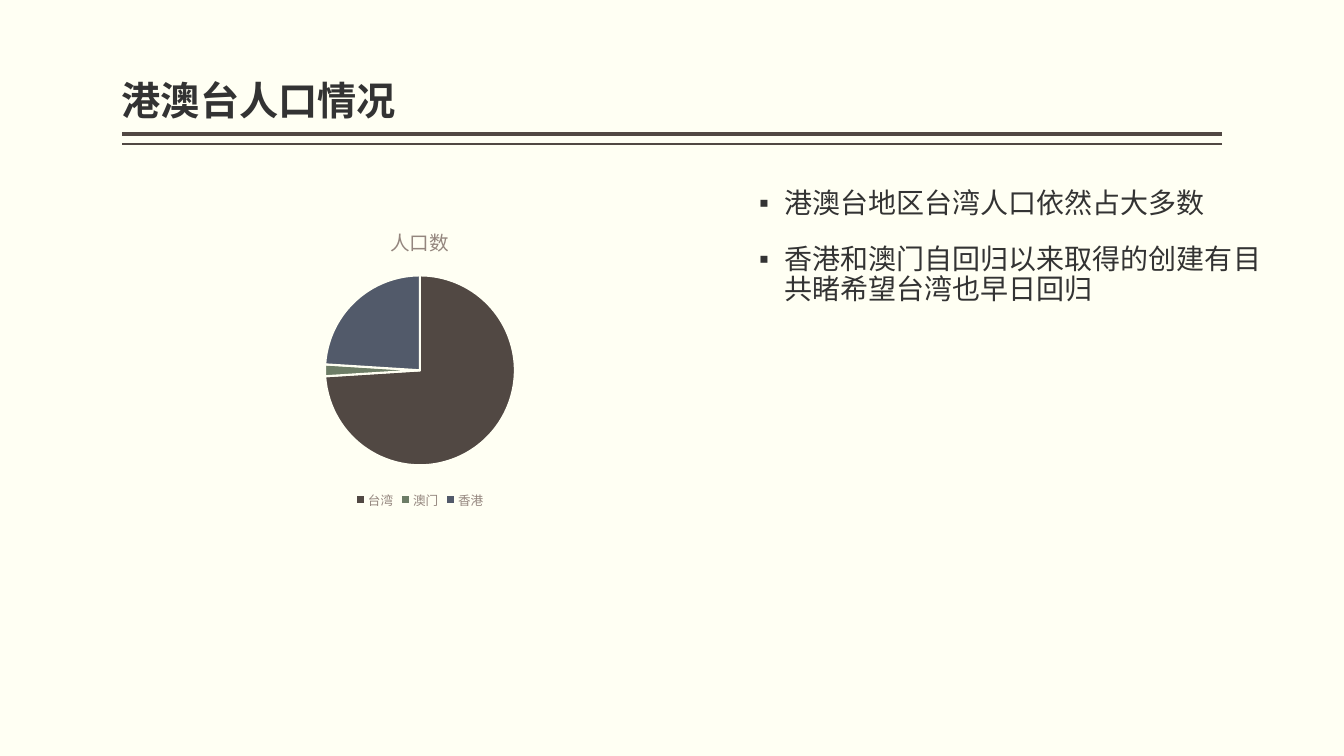
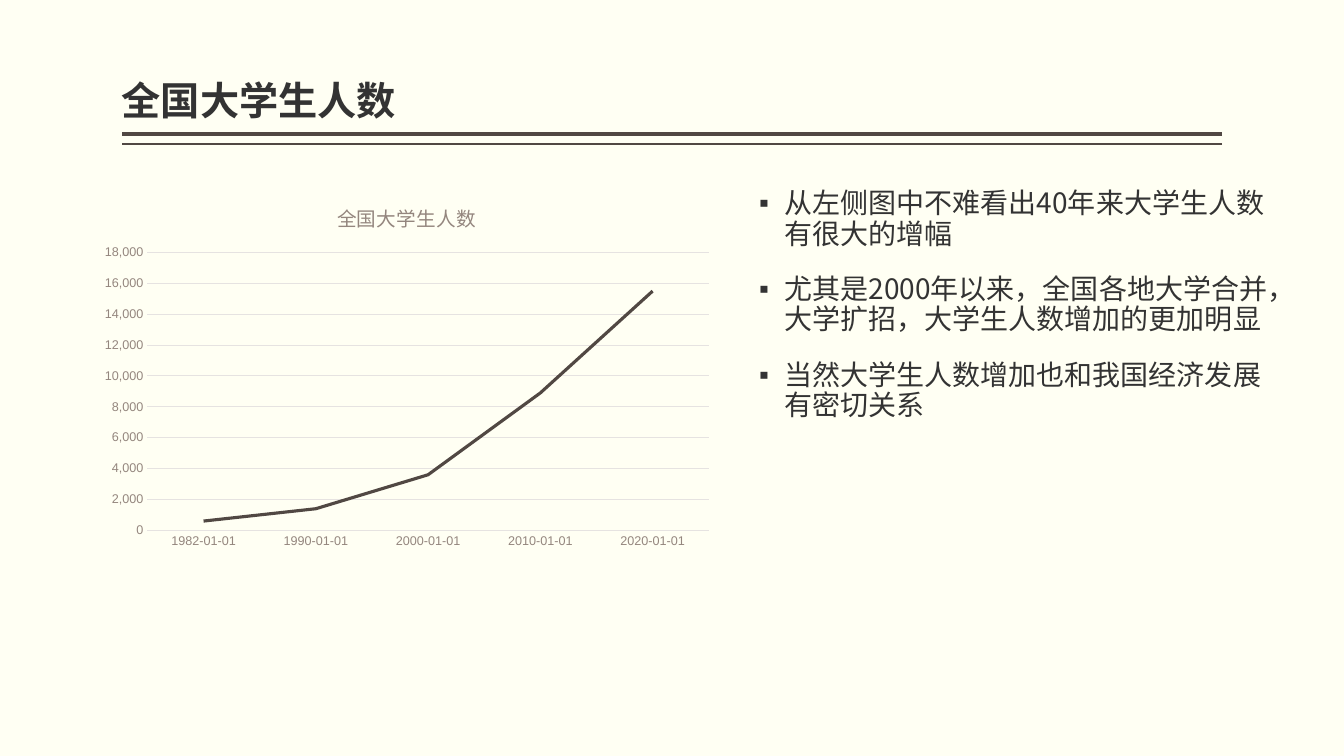
import lxml.etree
import pptx
import pptx.chart.data
import pptx.dml.color
import pptx.enum.chart
import pptx.enum.shapes
import pptx.enum.text
import pptx.oxml.ns
import pptx.util

HUES = {"paper": "FFFFF3", "ink": "333333", "brown": "514843", "green": "6D7D66",
        "slate": "525A6A", "label": "94867E", "grid": "E6E3E1"}
FACE = "Noto Sans CJK SC"
KIND = pptx.enum.chart.XL_CHART_TYPE
NO_TICK = pptx.enum.chart.XL_TICK_MARK.NONE
ANCHOR = pptx.enum.text.MSO_ANCHOR


class Deck:
    """Hold the shared style and the current slide, and draw its elements."""

    def __init__(self):
        self.prs = pptx.Presentation()
        self.put(self.prs, {"slide_width": self.px(1280), "slide_height": self.px(720)})
        self.slide = None

    def px(self, num):
        return pptx.util.Emu(num * 9525)

    def box(self, *nums):
        return [self.px(num) for num in nums]

    def hue(self, name):
        return pptx.dml.color.RGBColor.from_string(HUES[name])

    def put(self, item, vals):
        for key, val in vals.items():
            setattr(item, key, val)

    def node(self, top, tag, **attrs):
        return lxml.etree.SubElement(top, pptx.oxml.ns.qn(tag), **attrs)

    def fill(self, item, name):
        item.solid()
        item.fore_color.rgb = self.hue(name)

    def line(self, item, name, width):
        self.fill(item.fill, name)
        item.width = pptx.util.Pt(width)

    def font(self, item, size, name, face="Arial", bold=False):
        self.put(item, {"size": pptx.util.Pt(size), "name": face, "bold": bold})
        item.color.rgb = self.hue(name)

    def page(self, title):
        self.slide = self.prs.slides.add_slide(self.prs.slide_layouts[6])
        self.fill(self.slide.background.fill, "paper")
        self.rule(128, 3)
        self.rule(137, 1)
        frame = self.frame((116, 8, 1048, 115), ANCHOR.BOTTOM)
        self.text(frame.paragraphs[0], title, 28, True)

    def rule(self, top, width):
        straight = pptx.enum.shapes.MSO_CONNECTOR.STRAIGHT
        rule = self.slide.shapes.add_connector(straight, *self.box(1164, top, 116, top))
        self.line(rule.line, "brown", width)
        self.node(rule._element.spPr, "a:effectLst")

    def frame(self, place, anchor):
        frame = self.slide.shapes.add_textbox(*self.box(*place)).text_frame
        self.put(frame, {"word_wrap": True, "vertical_anchor": anchor,
                         "margin_left": 0, "margin_right": 0})
        return frame

    def text(self, para, words, size, bold=False):
        para.line_spacing = 0.9
        run = para.add_run()
        run.text = words
        self.font(run.font, size, "ink", FACE, bold)
        self.node(run._r.get_or_add_rPr(), "a:ea", typeface=FACE)

    def list(self, items):
        frame = self.frame((723, 176, 496, 473), ANCHOR.TOP)
        for num, words in enumerate(items):
            para = frame.add_paragraph() if num else frame.paragraphs[0]
            self.text(para, words, 20)
            para.space_before = pptx.util.Pt(18)
            props = para._p.get_or_add_pPr()
            dent = self.px(24)
            props.set("marL", str(dent))
            props.set("indent", str(-dent))
            self.node(props, "a:buFont", typeface="Arial")
            self.node(props, "a:buChar", char="▪")

    def chart(self, kind, place, title, name, cats, vals):
        data = pptx.chart.data.CategoryChartData()
        data.categories = cats
        data.add_series(name, vals)
        chart = self.slide.shapes.add_chart(kind, *self.box(*place), data).chart
        self.font(chart.font, 10, "brown")
        self.put(chart, {"has_title": True, "has_legend": False})
        frame = chart.chart_title.text_frame
        frame.text = title
        self.font(frame.paragraphs[0].runs[0].font, 14, "label")
        chart.chart_title.include_in_layout = False
        return chart

    def pie(self, place, title, cats, vals, hues):
        chart = self.chart(KIND.PIE, place, title, title, cats, vals)
        chart.has_legend = True
        self.put(chart.legend, {"position": pptx.enum.chart.XL_LEGEND_POSITION.BOTTOM,
                                "include_in_layout": False})
        self.font(chart.legend.font, 9, "label")
        plot = chart.plots[0]
        plot.vary_by_categories = True
        for num, name in enumerate(hues):
            form = plot.series[0].points[num].format
            self.fill(form.fill, name)
            self.line(form.line, "paper", 1.5)

    def trend(self, place, title, name, cats, vals):
        chart = self.chart(KIND.LINE, place, title, name, cats, vals)
        plot = chart.plots[0]
        plot.vary_by_categories = False
        plot.series[0].smooth = False
        self.line(plot.series[0].format.line, "brown", 2.25)
        for axis in (chart.category_axis, chart.value_axis):
            self.put(axis, {"major_tick_mark": NO_TICK, "minor_tick_mark": NO_TICK})
            self.font(axis.tick_labels.font, 9, "label")
        self.line(chart.category_axis.format.line, "grid", 0.75)
        axis = chart.value_axis
        axis.format.line.fill.background()
        self.put(axis, {"has_major_gridlines": True, "minimum_scale": 0,
                        "maximum_scale": 18000, "major_unit": 2000})
        self.line(axis.major_gridlines.format.line, "grid", 0.75)
        self.put(axis.tick_labels, {"number_format": "#,##0",
                                    "number_format_is_linked": False})


def main():
    deck = Deck()
    deck.page("港澳台人口情况")
    deck.list(["港澳台地区台湾人口依然占大多数",
               "香港和澳门自回归以来取得的创建有目共睹希望台湾也早日回归"])
    deck.pie((160, 200, 480, 288), "人口数", ["台湾", "澳门", "香港"],
             [74, 2, 24], ["brown", "green", "slate"])

    deck.page("全国大学生人数")
    deck.list(["从左侧图中不难看出40年来大学生人数有很大的增幅",
               "尤其是2000年以来，全国各地大学合并，大学扩招，大学生人数增加的更加明显",
               "当然大学生人数增加也和我国经济发展有密切关系"])
    years = [f"{year}-01-01" for year in (1982, 1990, 2000, 2010, 2020)]
    deck.trend((88, 176, 599, 354), "全国大学生人数", "Series 1", years,
               [600, 1400, 3600, 8900, 15500])
    deck.prs.save("out.pptx")


if __name__ == "__main__":
    main()
